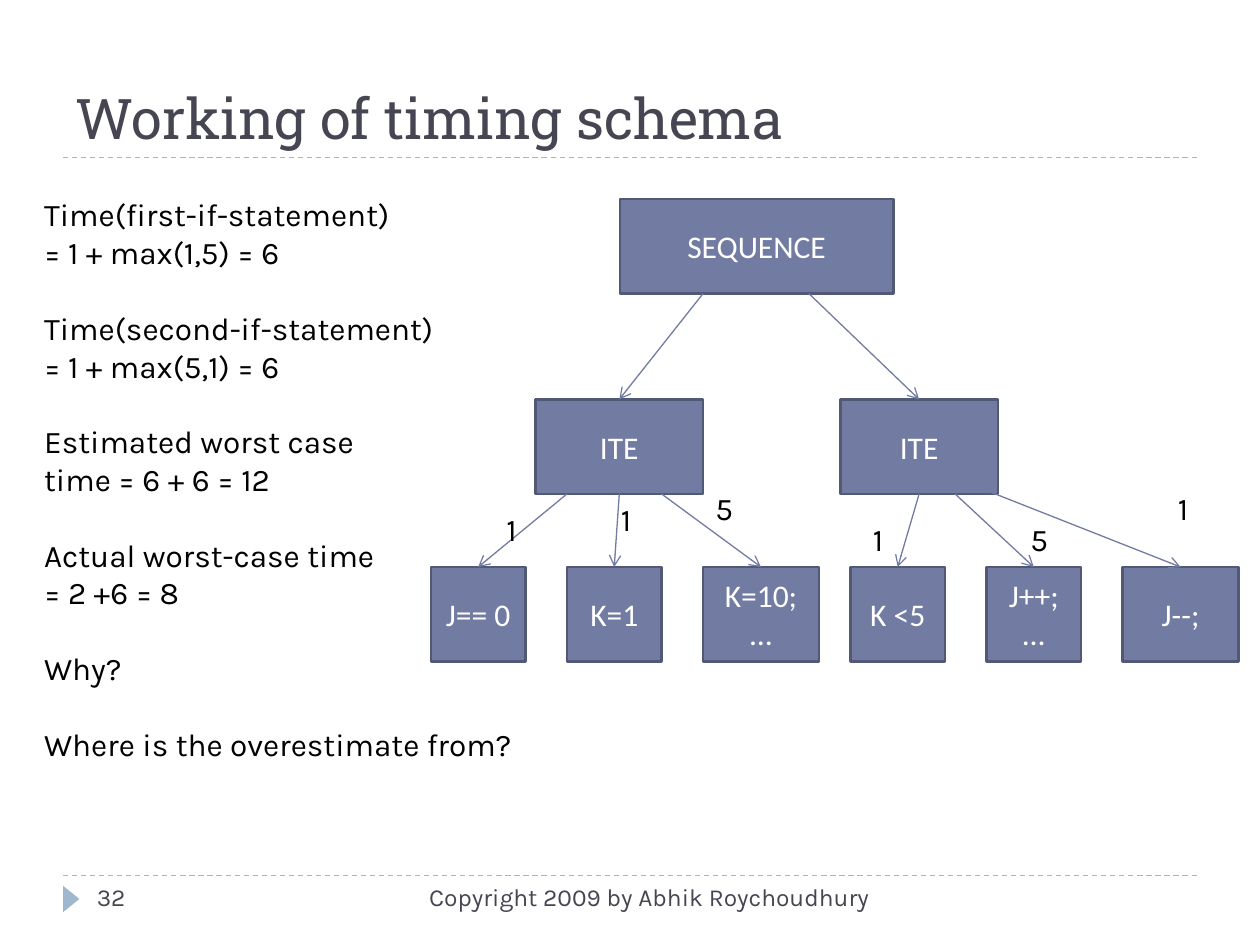
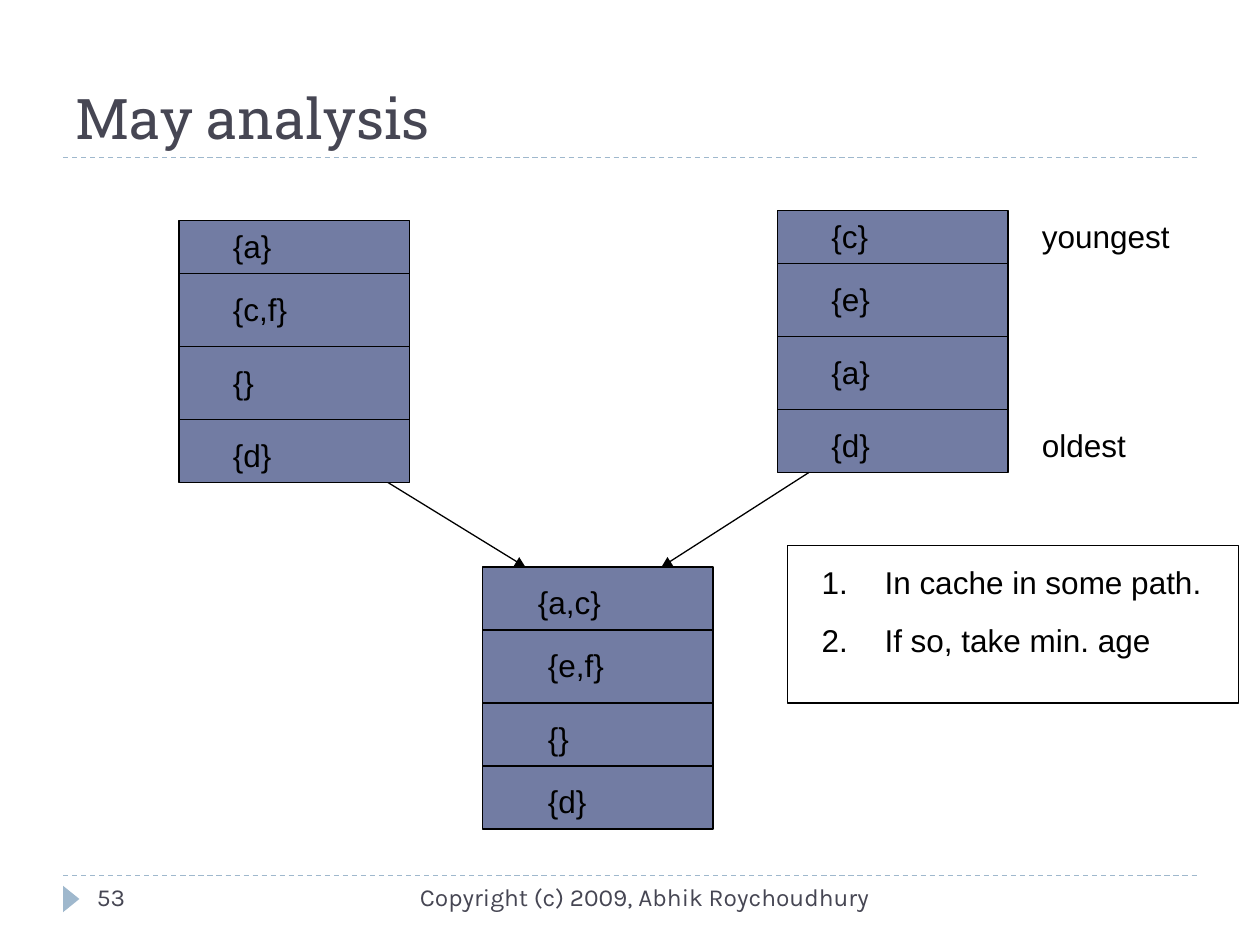
"""Build two slides: a timing schema tree and a may analysis of cache states."""
from pptx import Presentation
from pptx.dml.color import RGBColor
from pptx.enum.dml import MSO_LINE
from pptx.enum.shapes import MSO_CONNECTOR, MSO_SHAPE
from pptx.enum.text import MSO_ANCHOR, MSO_AUTO_SIZE, PP_ALIGN
from pptx.oxml.ns import qn
from pptx.util import Inches, Pt
from lxml.etree import SubElement

INK = RGBColor(0x46, 0x46, 0x53)
PALE = RGBColor(0x9F, 0xB8, 0xCD)
BLUE = RGBColor(0x72, 0x7C, 0xA3)
EDGE = RGBColor(0x52, 0x59, 0x77)
BLACK = RGBColor(0, 0, 0)
WHITE = RGBColor(255, 255, 255)
HEAD, BODY, NODE, CELL = "Roboto Slab", "Karla", "Calibri", "Arial"

TREE = {
    "title": "Working of timing schema",
    "page": "32",
    "credit": "Copyright 2009 by Abhik Roychoudhury",
    "notes": [
        ["Time(first-if-statement)", "= 1 + max(1,5) = 6"],
        ["Time(second-if-statement)", "= 1 + max(5,1) = 6"],
        ["Estimated worst case", "time = 6 + 6 = 12"],
        ["Actual worst-case time", "= 2 +6 = 8"],
        ["Why?"],
        ["Where is the overestimate from?"],
    ],
    "root": ("SEQUENCE", 4.92, 1.58, 2.17),
    # branch: left, width, start of its arrow, left of its leaves,
    # leaves: text, start of arrow (None is the middle), cost, cost place
    "branches": [
        (4.25, 1.33, 5.58, 3.42, [
            (["J== 0"], (4.5, 3.92), "1", (3.92, 4)),
            (["K=1"], None, "1", (4.83, 3.92)),
            (["K=10;", "…"], (5.25, 3.92), "5", (5.58, 3.83))]),
        (6.67, 1.25, 6.42, 6.75, [
            (["K <5"], None, "1", (6.83, 4.08)),
            (["J++; …"], (7.58, 3.92), "5", (8.08, 4.08)),
            (["J--;"], (7.67, 3.83), "1", (9.25, 3.83))]),
    ],
}
MAY = {
    "title": "May analysis",
    "page": "53",
    "credit": "Copyright (c) 2009, Abhik Roychoudhury",
    "rules": ["In cache in some path.", "If so, take min. age"],
    # stack: left, top, cuts, first label drop, label indents, labels
    "stacks": [
        (1.42, 1.75, (0.42, 1, 1.58), 0, (0.33,) * 4,
         ("{a}", "{c,f}", "{}", "{d}")),
        (3.83, 4.5, (0.5, 1.08, 1.58), 0.08, (0.34,) + (0.42,) * 3,
         ("{a,c}", "{e,f}", "{}", "{d}")),
        (6.17, 1.67, (0.42, 1, 1.58), 0, (0.33,) * 4,
         ("{c}", "{e}", "{a}", "{d}")),
    ],
    "ages": [("youngest", 1.67), ("oldest", 3.33)],
    "flows": [((3.08, 3.83), (4.17, 4.5)), ((6.42, 3.75), (5.25, 4.5))],
}
LEAF_TOP, LEAF_STEP, ROW_TOP, TALL = 4.5, 1.08, 3.17, 0.75
STACK_W, STACK_H = 1.83, 2.08


def write(frame, lines, font, size=18, ink=BLACK, align=PP_ALIGN.LEFT):
    """Fill a frame with one paragraph of one run per line."""
    frame.word_wrap = True
    for i, line in enumerate(lines):
        para = frame.add_paragraph() if i else frame.paragraphs[0]
        para.alignment = align
        run = para.add_run()
        run.text = line
        run.font.name, run.font.size = font, Pt(size)
        run.font.color.rgb = ink


def label(slide, text, x, y, w, font, **look):
    """Add a one-line text box."""
    box = slide.shapes.add_textbox(
        Inches(x), Inches(y), Inches(w), Inches(0.4))
    write(box.text_frame, [text], font, **look)


def block(slide, x, y, w, h, fill, line, width, kind=MSO_SHAPE.RECTANGLE):
    """Add a flat shape; None leaves out its fill or line."""
    shape = slide.shapes.add_shape(
        kind, Inches(x), Inches(y), Inches(w), Inches(h))
    shape.shadow.inherit = False
    for part, tint in ((shape.fill, fill), (shape.line.fill, line)):
        if tint is None:
            part.background()
        else:
            part.solid()
            part.fore_color.rgb = tint
    if line is not None:
        shape.line.width = Pt(width)
    return shape


def link(slide, start, end, tint, tip=None, dash=None):
    """Draw a thin straight line, with an arrowhead if a tip is named."""
    points = [Inches(v) for v in (*start, *end)]
    line = slide.shapes.add_connector(MSO_CONNECTOR.STRAIGHT, *points)
    line.line.color.rgb, line.line.width = tint, Pt(0.75)
    if dash:
        line.line.dash_style = dash
    props = line.element.spPr
    if tip:
        SubElement(props.find(qn("a:ln")), qn("a:tailEnd"), type=tip)
    SubElement(props, qn("a:effectLst"))
    return line


def place(shape, x, y, w, h):
    """Move and size a placeholder."""
    shape.left, shape.top = Inches(x), Inches(y)
    shape.width, shape.height = Inches(w), Inches(h)


def start_slide(deck, data):
    """Add a slide with its title, rules, marker and footer."""
    slide = deck.slides.add_slide(deck.slide_layouts[1])
    place(slide.shapes.title, 0.5, 0.17, 9, 1.08)
    frame = slide.shapes.title.text_frame
    frame.vertical_anchor = MSO_ANCHOR.BOTTOM
    write(frame, [data["title"]], HEAD, 32, INK)
    for y in (6.95, 1.25):
        link(slide, (0.5, y), (9.5, y), PALE, dash=MSO_LINE.DASH)
    mark = block(slide, 0.46, 7.07, 0.21, 0.13, PALE, None, 0,
                 MSO_SHAPE.ISOSCELES_TRIANGLE)
    mark.rotation = 90
    label(slide, data["credit"], 3.17, 6.95, 3.83, BODY,
          size=14, ink=INK, align=PP_ALIGN.RIGHT)
    label(slide, data["page"], 0.67, 6.95, 2.17, BODY, size=14, ink=INK)
    return slide


def fill_body(slide, area, lines, font, gaps, hang=0):
    """Put lines in the body placeholder, numbered if they hang."""
    body = slide.placeholders[1]
    place(body, *area)
    frame = body.text_frame
    frame.auto_size = MSO_AUTO_SIZE.NONE
    write(frame, lines, font)
    for para, gap in zip(frame.paragraphs, gaps):
        props = para._p.get_or_add_pPr()
        props.set("marL", str(Inches(hang)))
        props.set("indent", str(-Inches(hang)))
        if hang:
            SubElement(props, qn("a:buFont"), typeface=font)
            SubElement(props, qn("a:buAutoNum"), type="arabicPeriod")
        else:
            SubElement(props, qn("a:buNone"))
        para.space_before = Pt(gap)


def node(slide, lines, x, y, w):
    """Add a box of the tree."""
    box = block(slide, x, y, w, TALL, BLUE, EDGE, 1.5)
    box.text_frame.vertical_anchor = MSO_ANCHOR.MIDDLE
    write(box.text_frame, lines, NODE, ink=WHITE, align=PP_ALIGN.CENTER)
    return box


def join(slide, start, parent, child):
    """Point an arrow at a child's top, from a spot or the parent's middle."""
    line = link(slide, start or (0, 0), (0, 0), BLUE, "arrow")
    if start is None:
        line.begin_connect(parent, 2)
    line.end_connect(child, 0)


def build_tree(deck):
    """Build the timing schema slide."""
    slide = start_slide(deck, TREE)
    notes = TREE["notes"]
    gaps = [21.6 if g and not i else 0
            for g, group in enumerate(notes) for i in range(len(group))]
    fill_body(slide, (0.25, 1.5, 4, 5.2), sum(notes, []), BODY, gaps)
    name, x, y, w = TREE["root"]
    root = node(slide, [name], x, y, w)
    for x, w, out, left, leaves in TREE["branches"]:
        fork = node(slide, ["ITE"], x, ROW_TOP, w)
        join(slide, (out, y + TALL), root, fork)
        for i, (lines, start, cost, spot) in enumerate(leaves):
            wide = 0.92 if i == 2 else 0.75
            leaf = node(slide, lines, left + i * LEAF_STEP, LEAF_TOP, wide)
            join(slide, start, fork, leaf)
            label(slide, cost, *spot, 0.5, BODY)


def build_may(deck):
    """Build the may analysis slide."""
    slide = start_slide(deck, MAY)
    for x, y, cuts, drop, dents, names in MAY["stacks"]:
        block(slide, x, y, STACK_W, STACK_H, BLUE, BLACK, 0.75)
        for cut in cuts:
            link(slide, (x, y + cut), (x + STACK_W, y + cut), BLACK)
        drops = [drop] + [cut + 0.08 for cut in cuts]
        for name, dent, down in zip(names, dents, drops):
            label(slide, name, x + dent, y + down, 1.2, CELL)
    for start, end in MAY["flows"]:
        link(slide, start, end, BLACK, "triangle")
    block(slide, 6.25, 4.33, 3.58, 1.25, None, BLACK, 0.75)
    fill_body(slide, (6.42, 4.42, 3.33, 0.86), MAY["rules"], CELL,
              (0, 11.2), 0.5)
    for age, y in MAY["ages"]:
        label(slide, age, 8.17, y, 1.58, CELL)


def main():
    """Build and save the deck."""
    deck = Presentation()
    deck.slide_width, deck.slide_height = Inches(10), Inches(7.5)
    build_tree(deck)
    build_may(deck)
    deck.save("out.pptx")


if __name__ == "__main__":
    main()
